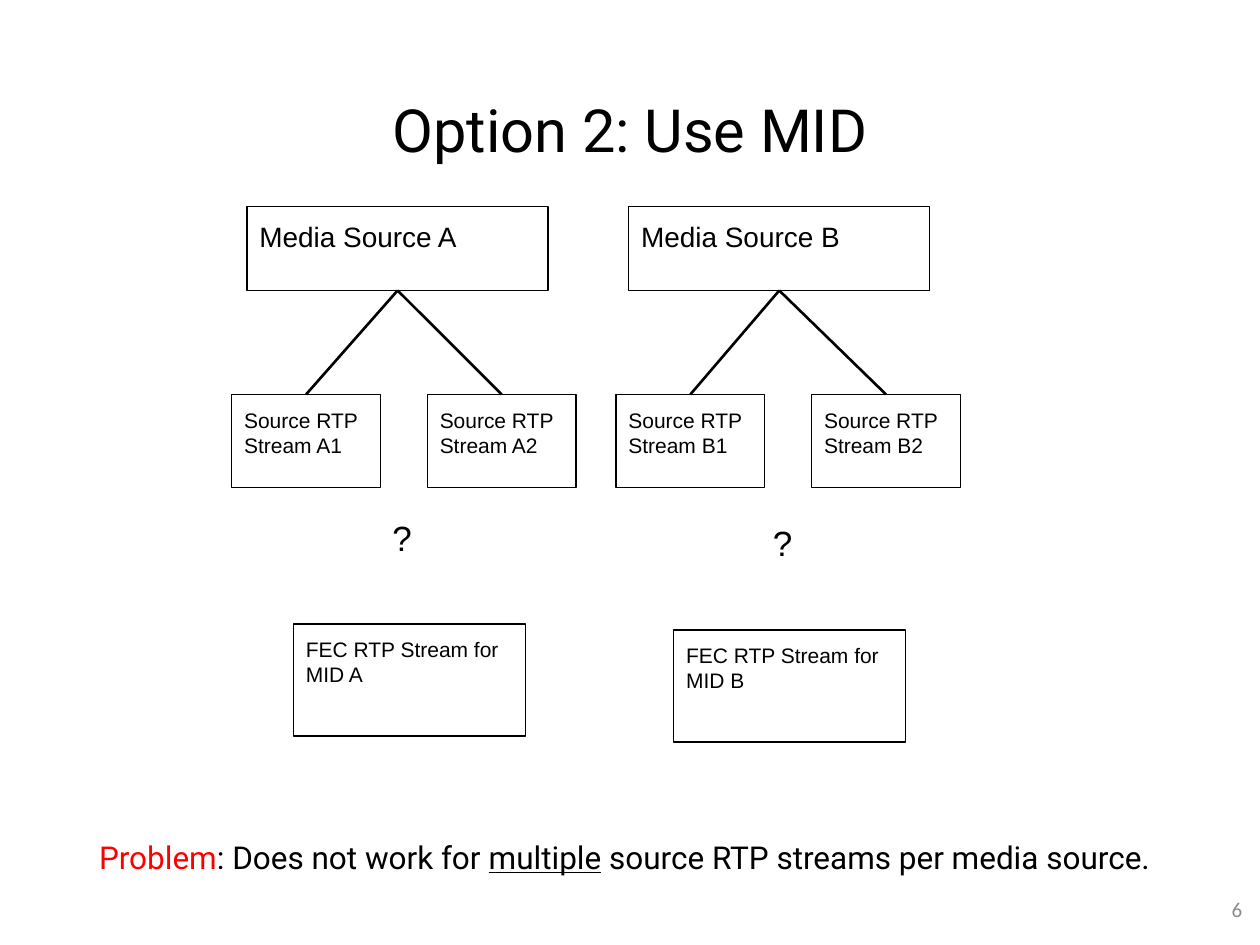
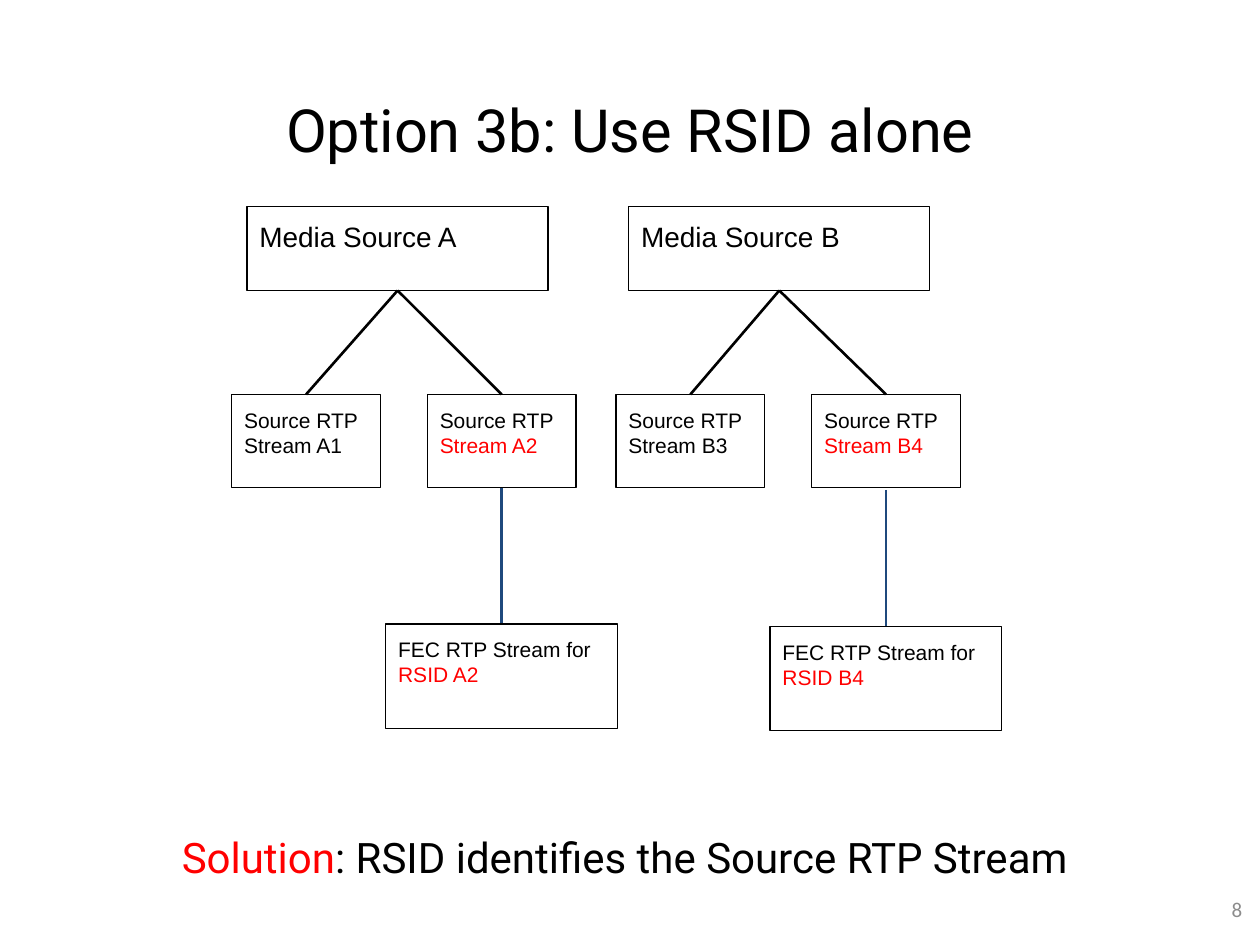
from pptx import Presentation
from pptx.dml.color import RGBColor as RGB
from pptx.enum.shapes import MSO_CONNECTOR as Link, MSO_SHAPE as Form
from pptx.enum.text import MSO_ANCHOR as Anchor, PP_ALIGN as Align
from pptx.oxml.ns import qn
from pptx.util import Pt
from lxml.etree import SubElement as Sub

BLACK = RGB(0, 0, 0)
RED = RGB(255, 0, 0)
BLUE = RGB(0x1F, 0x49, 0x7D)
GRAY = RGB(0x8C, 0x8C, 0x8C)
HEAD, BODY, NUM = "Roboto", "Arial", "Calibri"

MEDIA_W, MEDIA_H, MEDIA_TOP = 172, 48, 118
STREAM_W, STREAM_H, STREAM_TOP = 85, 53.4, 225.4
STREAM_GAP = 111.8
FEC_W = 132.5
MEDIA_X = {"A": 141.2, "B": 359.3}
STREAM_X = {"A": 132.4, "B": 352}


class Deck:
    """Holds the shared style and the current slide."""

    def __init__(self):
        self.prs = Presentation()
        self.prs.slide_width, self.prs.slide_height = Pt(720), Pt(540)

    def start(self, title, page):
        layout = self.prs.slide_layouts[6]
        self.slide = self.prs.slides.add_slide(layout)
        self.label((36, 41, 648, 60), [(title, BLACK)], 34, HEAD,
                   Align.CENTER, Anchor.BOTTOM)
        self.label((674, 499, 43, 41), [(page, GRAY)], 12, NUM,
                   Align.RIGHT, Anchor.MIDDLE)

    def words(self, shape, parts, size, font=BODY, align=Align.LEFT, anchor=Anchor.TOP):
        frame = shape.text_frame
        frame.word_wrap = True
        frame.vertical_anchor = anchor
        frame.margin_left = frame.margin_right = Pt(7.2)
        frame.margin_top = frame.margin_bottom = Pt(7.2)
        para = frame.paragraphs[0]
        para.alignment = align
        for text, color, *under in parts:
            run = para.add_run()
            run.text = text
            run.font.name, run.font.size = font, Pt(size)
            run.font.color.rgb = color
            if under:
                run.font.underline = True
        return para

    def label(self, area, parts, *style):
        box = self.slide.shapes.add_textbox(*map(Pt, area))
        return self.words(box, parts, *style)

    def box(self, area, parts, size=12):
        rect = self.slide.shapes.add_shape(Form.RECTANGLE, *map(Pt, area))
        rect.shadow.inherit = False
        rect.fill.background()
        rect.line.color.rgb, rect.line.width = BLACK, Pt(0.75)
        self.words(rect, parts, size)

    def line(self, start, end, color=BLACK):
        link = self.slide.shapes.add_connector(
            Link.STRAIGHT, *map(Pt, (*start, *end)))
        link.line.color.rgb, link.line.width = color, Pt(1.5)
        Sub(link._element.spPr, qn("a:effectLst"))

    def tree(self, name, tags, marks):
        left = MEDIA_X[name]
        self.box((left, MEDIA_TOP, MEDIA_W, MEDIA_H),
                 [(f"Media Source {name}", BLACK)], 16)
        root = left + MEDIA_W / 2, MEDIA_TOP + MEDIA_H
        for col, (tag, mark) in enumerate(zip(tags, marks)):
            x = STREAM_X[name] + col * STREAM_GAP
            self.line(root, (x + STREAM_W / 2, STREAM_TOP))
            self.box((x, STREAM_TOP, STREAM_W, STREAM_H),
                     [("Source RTP ", BLACK), (f"Stream {tag}", mark)])

    def fec(self, left, top, height, tag, color):
        self.box((left, top, FEC_W, height),
                 [("FEC RTP Stream for ", BLACK), (tag, color)])

    def verdict(self, parts, size):
        para = self.label((-3, 438, 720, 103), parts, size, HEAD,
                          Align.CENTER, Anchor.MIDDLE)
        para.space_before = Pt(6)


def mid(deck):
    deck.start("Option 2: Use MID", "6")
    for name, left, top, ask in (("A", 167.7, 356.6, 288), ("B", 385, 360, 291)):
        deck.tree(name, (f"{name}1", f"{name}2"), (BLACK, BLACK))
        deck.label((left + 49.5, ask, 34, 60), [("?", BLACK)], 20)
        deck.fec(left, top, 64, f"MID {name}", BLACK)
    deck.verdict([("Problem", RED), (": Does not work for ", BLACK),
                  ("multiple", BLACK, True),
                  (" source RTP streams per media source.", BLACK)], 18)


def rsid(deck):
    deck.start("Option 3b: Use RSID alone", "8")
    for name, tags, top in (("A", ("A1", "A2"), 356.6), ("B", ("B3", "B4"), 358)):
        deck.tree(name, tags, (BLACK, RED))
        x = STREAM_X[name] + STREAM_GAP + STREAM_W / 2
        deck.line((x, top - 78), (x, top), BLUE)
        deck.fec(x - FEC_W / 2, top, 59.6, f"RSID {tags[1]}", RED)
    deck.verdict([("Solution", RED),
                  (": RSID identifies the Source RTP Stream", BLACK)], 24)


def main():
    deck = Deck()
    mid(deck)
    rsid(deck)
    deck.prs.save("out.pptx")


if __name__ == "__main__":
    main()
